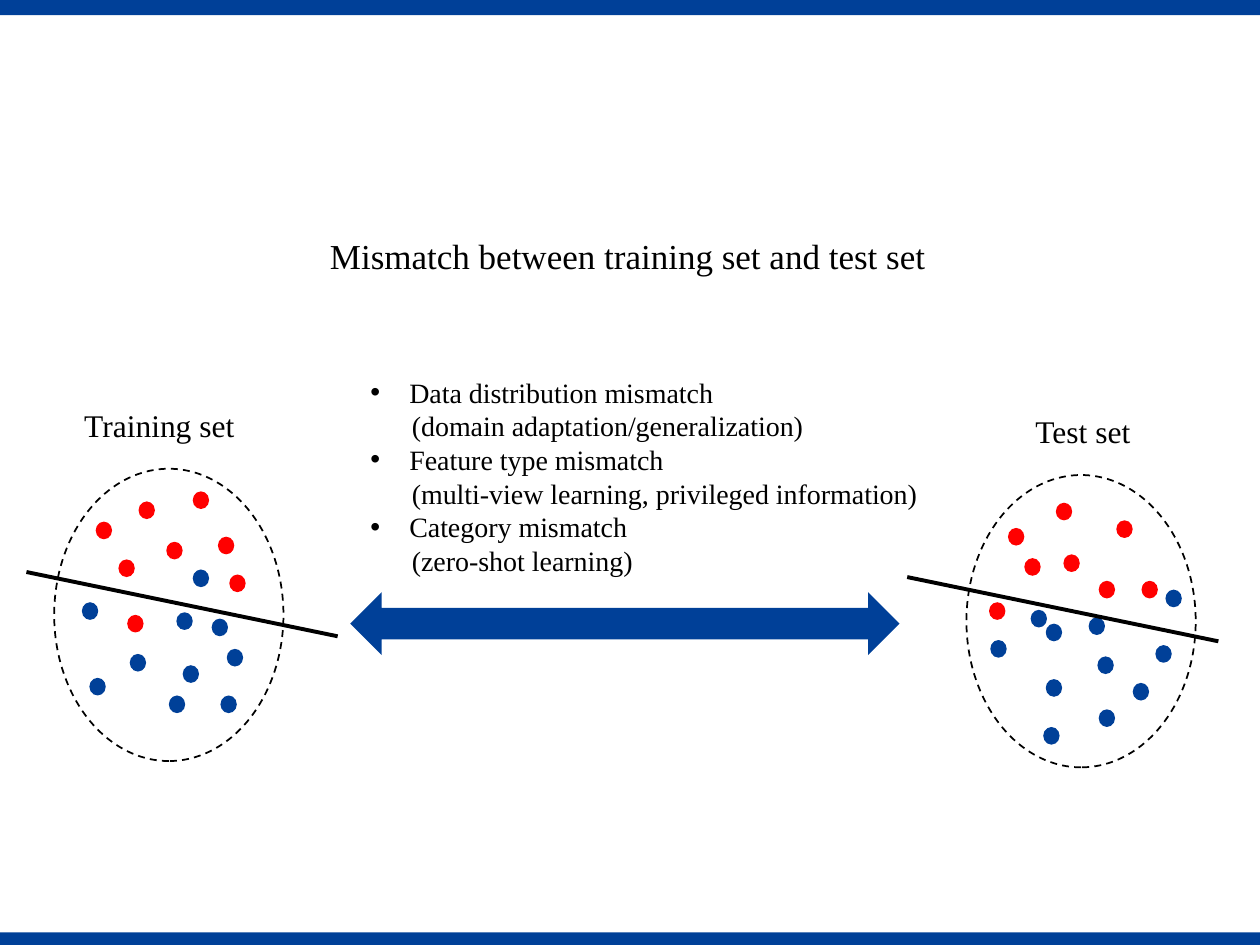
from lxml import etree
from pptx import Presentation
from pptx.dml.color import RGBColor
from pptx.enum import dml, shapes, text
from pptx.oxml import ns
from pptx.util import Inches, Pt

BLUE, RED, BLACK = "004098", "FF0000", "000000"
KIND = shapes.MSO_SHAPE


def color(code):
    return RGBColor.from_string(code)


class Pen:
    """Holds the style, the slide and the shape tree now drawn into."""

    font = "Times New Roman"

    def __init__(self, slide):
        self.slide = slide
        self.home = slide.shapes

    def group(self):
        """Send the next elements into a new group."""
        self.home = self.slide.shapes.add_group_shape().shapes

    def ungroup(self):
        self.home = self.slide.shapes

    def shape(self, kind, box, fill=None):
        item = self.home.add_shape(kind, *map(Inches, box))
        item.shadow.inherit = False
        item.line.fill.background()
        if fill:
            item.fill.solid()
            item.fill.fore_color.rgb = color(fill)
        else:
            item.fill.background()
        return item

    def dots(self, spots, fill):
        for x, y in spots:
            self.shape(KIND.OVAL, (x, y, 0.13, 0.14), fill)

    def ring(self, x, y):
        item = self.shape(KIND.OVAL, (x, y, 2.32, 1.82))
        item.rotation = 270
        item.line.color.rgb = color(BLACK)
        item.line.width = Pt(1)
        item.line.dash_style = dml.MSO_LINE.DASH

    def line(self, x, y, wide, high):
        item = self.home.add_connector(
            shapes.MSO_CONNECTOR.STRAIGHT,
            *map(Inches, (x, y, x + wide, y + high)))
        item.line.color.rgb = color(BLACK)
        item.line.width = Pt(2.25)
        etree.SubElement(item.line._get_or_add_ln().getparent(),
                         ns.qn("a:effectLst"))

    def label(self, box, size, *rows):
        frame = self.home.add_textbox(*map(Inches, box)).text_frame
        frame.word_wrap = False
        frame.auto_size = text.MSO_AUTO_SIZE.SHAPE_TO_FIT_TEXT
        paras = []
        for i, row in enumerate(rows):
            para = frame.add_paragraph() if i else frame.paragraphs[0]
            run = para.add_run()
            run.text = row
            run.font.name = self.font
            run.font.size = Pt(size)
            run.font.color.rgb = color(BLACK)
            paras.append(para)
        return paras

    def topics(self, box, size, pairs):
        """Bulleted topics, each with an indented remark below it."""
        rows = [row for pair in pairs for row in pair]
        for i, para in enumerate(self.label(box, size, *rows)):
            para.line_spacing = Pt(size * 1.2)
            props = para._p.get_or_add_pPr()
            if i % 2:
                props.set("marL", str(Inches(0.33)))
                continue
            props.set("marL", str(Inches(0.31)))
            props.set("indent", str(Inches(-0.31)))
            etree.SubElement(props, ns.qn("a:buFont")).set("typeface", "Arial")
            etree.SubElement(props, ns.qn("a:buChar")).set("char", "•")


SETS = [
    dict(name="Training set", label=(0.57, 3.17, 1.41, 0.4),
         ring=(0.18, 3.97), line=(0.21, 4.54),
         red=[(1.1, 3.98), (1.32, 4.3), (0.94, 4.44), (1.53, 3.9),
              (1.01, 4.88), (1.73, 4.26), (1.82, 4.56), (0.76, 4.14)],
         blue=[(1.4, 4.86), (0.65, 4.78), (0.71, 5.38), (1.03, 5.19),
               (1.34, 5.52), (1.8, 5.15), (1.45, 5.28), (1.75, 5.52),
               (1.53, 4.52), (1.68, 4.91)]),
    dict(name="Test set", label=(8.12, 3.22, 0.96, 0.4),
         ring=(7.42, 4.02), line=(7.2, 4.58),
         red=[(8.38, 3.99), (8.72, 4.61), (7.85, 4.78), (8.86, 4.13),
              (8.13, 4.43), (8.44, 4.4), (9.06, 4.61), (8, 4.19)],
         blue=[(8.64, 4.9), (7.86, 5.08), (8.28, 5.77), (8.3, 5.39),
               (8.72, 5.63), (9.17, 5.12), (8.71, 5.21), (8.99, 5.42),
               (9.25, 4.68), (8.3, 4.95), (8.18, 4.84)]),
]

TOPICS = [
    ("Data distribution mismatch", "(domain adaptation/generalization)"),
    ("Feature type mismatch",
     "(multi-view learning, privileged information)"),
    ("Category mismatch", "(zero-shot learning)"),
]


def main():
    deck = Presentation()
    deck.slide_width, deck.slide_height = Inches(10), Inches(7.5)
    pen = Pen(deck.slides.add_slide(deck.slide_layouts[6]))

    pen.shape(KIND.RECTANGLE, (0, 7.4, 10, 0.1), BLUE)
    pen.shape(KIND.RECTANGLE, (0, 0, 10, 0.12), BLUE)

    for data in SETS:
        pen.group()
        pen.dots(data["red"], RED)
        pen.dots(data["blue"], BLUE)
        pen.ring(*data["ring"])
        pen.label(data["label"], 18, data["name"])
        pen.line(*data["line"], 2.47, 0.51)
    pen.ungroup()

    pen.topics((2.84, 2.93, 4.62, 2.02), 16, TOPICS)
    pen.label((2.52, 1.81, 4.96, 0.44), 20,
              "Mismatch between training set and test set")
    pen.shape(KIND.LEFT_RIGHT_ARROW, (2.78, 4.7, 4.36, 0.5), BLUE)

    deck.save("out.pptx")


if __name__ == "__main__":
    main()
